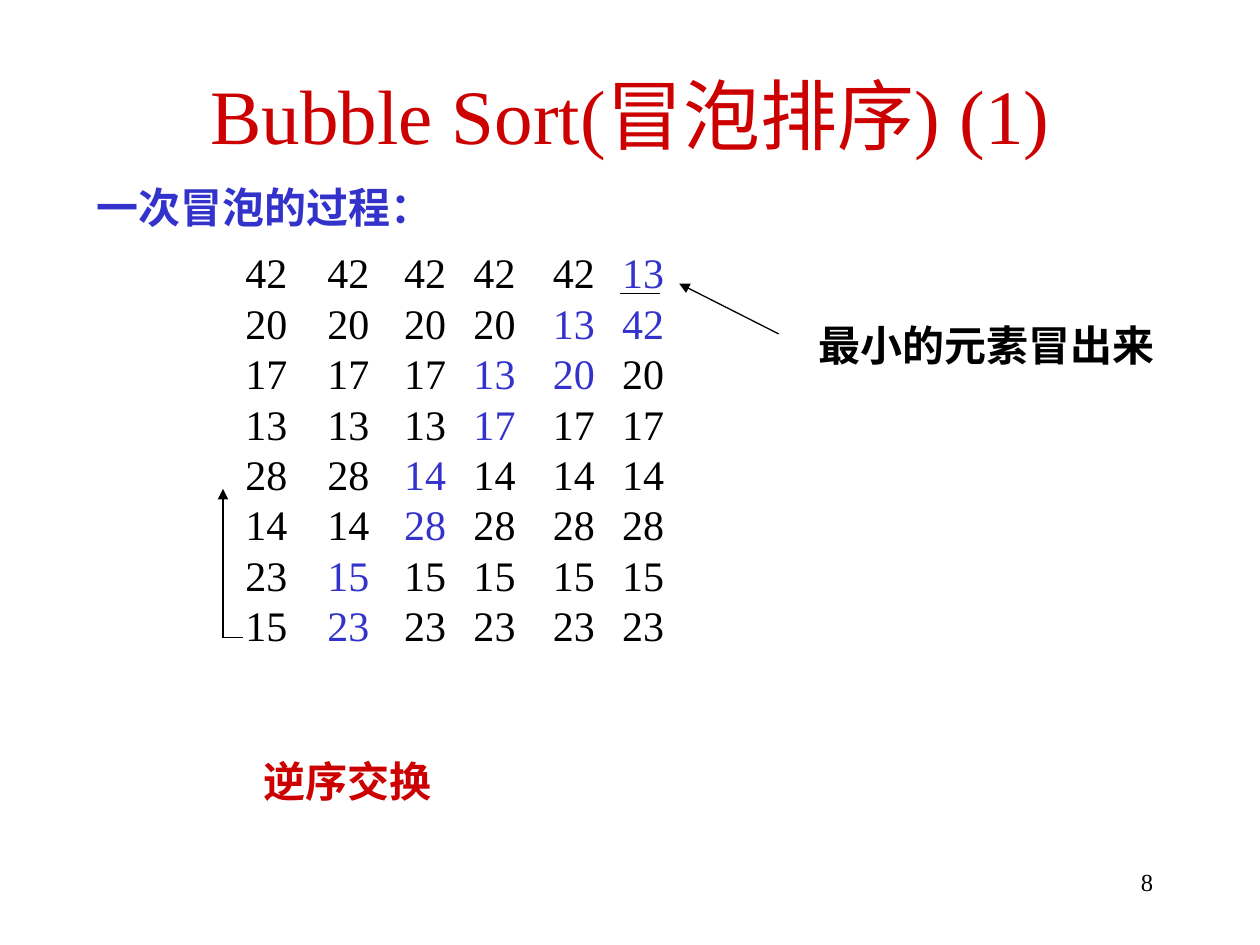
from dataclasses import dataclass

from lxml import etree
from pptx import Presentation
from pptx.dml.color import RGBColor
from pptx.enum.shapes import MSO_CONNECTOR as Conn
from pptx.enum.text import MSO_ANCHOR as Anchor, PP_ALIGN as Align
from pptx.oxml.ns import qn
from pptx.util import Inches, Pt

FONT = "Times New Roman"
BLACK, RED, BLUE = "000000", "CC0000", "3333CC"
START = [42, 20, 17, 13, 28, 14, 23, 15]
COLUMN_LEFTS = [1.85, 2.5, 3.11, 3.66, 4.29, 4.84]


@dataclass
class Label:
    text: str
    left: float
    top: float
    width: float
    height: float = 0.5
    size: int = 24
    color: str = BLACK
    bold: bool = True
    align: Align = Align.LEFT
    anchor: Anchor = Anchor.TOP
    wrap: bool = False


@dataclass
class Line:
    x1: float
    y1: float
    x2: float
    y2: float
    arrow: bool = False


@dataclass
class Step:
    values: list[int]
    swapped: tuple[int, ...] = ()


LABELS = [
    Label("8", 7.17, 6.83, 2.08, size=14, bold=False, align=Align.RIGHT, wrap=True),
    Label("Bubble Sort(冒泡排序) (1)", 0.5, 0.4, 9, 1, 44, RED, False,
          Align.CENTER, Anchor.MIDDLE, True),
    Label("逆序交换", 1.99, 5.95, 1.54, color=RED),
    Label("一次冒泡的过程：", 0.67, 1.39, 2.88, color=BLUE),
    Label("最小的元素冒出来", 6.4, 2.49, 2.88),
]
LINES = [
    Line(1.77, 5.06, 1.77, 3.88, arrow=True),
    Line(1.77, 5.06, 1.93, 5.06),
    Line(4.92, 2.33, 5.24, 2.33),
    Line(6.18, 2.65, 5.39, 2.25, arrow=True),
]


def rgb(color: str) -> RGBColor:
    return RGBColor.from_string(color)


def add_box(s, left: float, top: float, width: float, height: float, wrap: bool):
    sp = s.shapes.add_textbox(Inches(left), Inches(top), Inches(width), Inches(height))
    tf = sp.text_frame
    tf.word_wrap = wrap
    return tf


def add_run(p, text: str, size: int, color: str, bold: bool = False) -> None:
    r = p.add_run()
    r.text = text
    r.font.name = FONT
    r.font.size = Pt(size)
    r.font.bold = bold
    r.font.color.rgb = rgb(color)


def add_label(s, label: Label) -> None:
    tf = add_box(s, label.left, label.top, label.width, label.height, label.wrap)
    tf.vertical_anchor = label.anchor
    p = tf.paragraphs[0]
    p.alignment = label.align
    add_run(p, label.text, label.size, label.color, label.bold)


def add_line(s, line: Line) -> None:
    cx = s.shapes.add_connector(Conn.STRAIGHT, Inches(line.x1), Inches(line.y1),
                                Inches(line.x2), Inches(line.y2))
    cx.line.color.rgb = rgb(BLACK)
    cx.line.width = Pt(0.75)
    if line.arrow:
        etree.SubElement(cx.line._get_or_add_ln(), qn("a:tailEnd"), type="triangle")
    etree.SubElement(cx._element.spPr, qn("a:effectLst"))


def bubble_pass(values: list[int]) -> list[Step]:
    """Return the list before the pass and after each swap, from the bottom up."""
    values = list(values)
    steps = [Step(list(values))]
    for i in range(len(values) - 1, 0, -1):
        if values[i] < values[i - 1]:
            values[i - 1], values[i] = values[i], values[i - 1]
            steps.append(Step(list(values), (i - 1, i)))
    return steps


def add_step(s, step: Step, left: float) -> None:
    tf = add_box(s, left, 1.91, 0.53, 3.3, wrap=True)
    for i, value in enumerate(step.values):
        p = tf.add_paragraph() if i else tf.paragraphs[0]
        p.line_spacing = Pt(28.8)
        add_run(p, str(value), 24, BLUE if i in step.swapped else BLACK)


def main() -> None:
    prs = Presentation()
    prs.slide_width, prs.slide_height = Inches(10), Inches(7.5)
    s = prs.slides.add_slide(prs.slide_layouts[6])
    for label in LABELS:
        add_label(s, label)
    for step, left in zip(bubble_pass(START), COLUMN_LEFTS):
        add_step(s, step, left)
    for line in LINES:
        add_line(s, line)
    prs.save("out.pptx")


if __name__ == "__main__":
    main()
